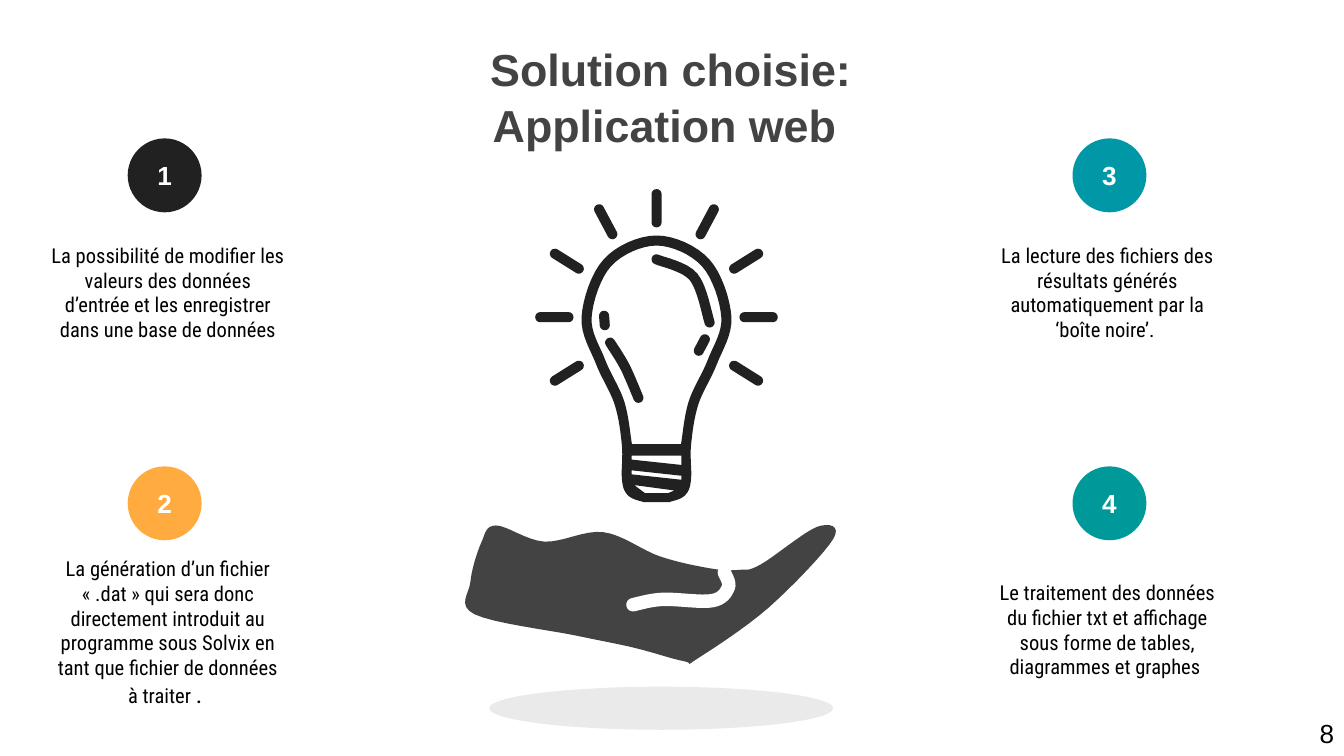
"""Build the slide 'Solution choisie: Application web' on a grid of 0.01 inch cells."""
import math
from dataclasses import dataclass

import lxml.etree
import pptx
import pptx.dml.color
import pptx.enum.shapes
import pptx.enum.text
import pptx.oxml.ns
import pptx.util

Point = tuple[float, float]
COLUMNS, ROWS = 1000, 562.5
CELL = pptx.util.Inches(0.01)
AXIS, MIDLINE = 488.5, 236
STROKE = 3.75
DISC = 55
DARK, GREY, WHITE, BLACK = "212121", "434343", "FFFFFF", "000000"
HEAD_FONT, BODY_FONT = "Arial", "Roboto Condensed"
CENTER = pptx.enum.text.PP_ALIGN.CENTER


@dataclass(frozen=True)
class Column:
    """Left edges of the discs and labels in one column."""
    disc: float
    label: float


@dataclass(frozen=True)
class Step:
    """A numbered disc with its description."""
    color: str
    column: Column
    disc_top: float
    label_top: float
    lines: int
    text: str
    ending: str = ""


LEFT, RIGHT = Column(95, 28), Column(798, 727)
UPPER, LOWER = 103, 347
STEPS = [
    Step(DARK, LEFT, UPPER, 176, 4,
         "La possibilité de modifier les valeurs des données d’entrée et les enregistrer dans une base de données"),
    Step("FFAB40", LEFT, LOWER, 409, 6,
         "La génération d’un fichier « .dat » qui sera donc directement introduit au programme sous Solvix "
         "en tant que fichier de données à traiter ", ". "),
    Step("0097A7", RIGHT, UPPER, 176, 4,
         "La lecture des fichiers des résultats générés automatiquement par la ‘boîte noire’. "),
    Step("009999", RIGHT, LOWER, 427, 4,
         "Le traitement des données du fichier txt et affichage sous forme de tables, diagrammes et graphes "),
]

HAND = [
    (369, 391), (405, 403), (449, 396), (491, 414), (529, 423), (550, 424),
    (566, 420), (608, 392), (620, 401), (572, 452), (519, 490), (509, 492),
    (472, 482), (429, 473), (353, 457), (350, 433), (358, 404),
]
THUMB_GAP = [(471, 450), (493, 446), (530, 447), (542, 437), (539, 426)]
GLASS = [(AXIS, 179), (525, 195.5), (540.5, MIDLINE), (530, 269.5), (516, 300), (510.5, 331)]
FOOT = [(510.5, 356), (507, 366), (497, 370)]
SCREW_GAPS = [
    [(470, 339), (507, 339), (507, 346), (470, 342)],
    [(470, 350), (507, 354), (507, 357), (470, 353)],
    [(472, 361), (502, 365), (497, 367), (480, 367)],
]
GLARES = [
    [(449.5, 235), (450, 242)],
    [(524.5, 252.5), (520, 261)],
    [(454, 255), (465, 273), (475, 296)],
    [(AXIS, 193), (516, 206), (528, 240)],
]


def rgb(color: str) -> pptx.dml.color.RGBColor:
    """Turn a hex string into a colour."""
    return pptx.dml.color.RGBColor.from_string(color)


def grid(*cells: float) -> list[int]:
    """Turn grid cells into slide lengths."""
    return [round(cell * CELL) for cell in cells]


def polar(center: Point, radius: float, angle: float) -> Point:
    """Give the point at a radius and angle from a centre."""
    return center[0] + radius * math.cos(angle), center[1] + radius * math.sin(angle)


def symmetric(half: list[Point]) -> list[Point]:
    """Join a right half, from the axis down, to its reflection."""
    return [(2 * AXIS - x, y) for x, y in reversed(half[1:])] + half


def smooth(knots: list[Point], closed: bool = False, steps: int = 8) -> list[Point]:
    """Run a Catmull-Rom curve through the knots."""
    ring = knots[-1:] + knots + knots[:2] if closed else knots[:1] + knots + knots[-1:]
    points = [knots[0]]
    for a, b, c, d in zip(ring, ring[1:], ring[2:], ring[3:]):
        for step in range(1, steps + 1):
            t = step / steps
            points.append(tuple(
                q + t / 2 * (r - p + t * (2 * p - 5 * q + 4 * r - s + t * (3 * (q - r) + s - p)))
                for p, q, r, s in zip(a, b, c, d)))
    return points


def directions(points: list[Point]) -> list[float]:
    """Give the heading of a line at each of its points."""
    pairs = zip(points[:1] + points[:-1], points[1:] + points[-1:])
    return [math.atan2(b[1] - a[1], b[0] - a[0]) for a, b in pairs]


def offset(points: list[Point], distance: float) -> list[Point]:
    """Shift a line sideways."""
    return [polar(p, distance, angle - math.pi / 2) for p, angle in zip(points, directions(points))]


def tube(points: list[Point], radius: float = STROKE) -> list[Point]:
    """Outline a thick stroke with round ends around a centre line."""
    outline = []
    for line in (points, points[::-1]):
        heading = directions(line)[-1]
        outline += offset(line, radius)
        outline += [polar(line[-1], radius, heading + k * math.pi / 8) for k in range(-3, 4)]
    return outline


def ray(degrees: float) -> list[Point]:
    """Give the centre line of a light ray around the bulb."""
    angle = math.radians(degrees)
    inner = 65.5 + 5 * abs(math.sin(angle))
    return [polar((AXIS, MIDLINE), radius, -angle) for radius in (inner, inner + 21)]


def paint(sp, color: str) -> None:
    """Fill a shape and clear its line and shadow."""
    sp.fill.solid()
    sp.fill.fore_color.rgb = rgb(color)
    sp.line.fill.background()
    sp.shadow.inherit = False


def draw_outline(shapes, contours: list[list[Point]], color: str) -> None:
    """Draw closed contours as one filled freeform."""
    builder = shapes.build_freeform(*grid(*contours[0][0]), scale=1.0)
    for i, contour in enumerate(contours):
        if i:
            builder.move_to(*grid(*contour[0]))
        builder.add_line_segments([tuple(grid(*point)) for point in contour[1:]], close=True)
    paint(builder.convert_to_shape(), color)


def draw_ellipse(shapes, left: float, top: float, width: float, height: float, color: str):
    """Draw a filled ellipse."""
    sp = shapes.add_shape(pptx.enum.shapes.MSO_SHAPE.OVAL, *grid(left, top, width, height))
    paint(sp, color)
    return sp


def format_run(r, font: str, size: float, color: str, bold: bool = False) -> None:
    """Set the font of a run."""
    r.font.name, r.font.size, r.font.bold = font, pptx.util.Pt(size), bold
    r.font.color.rgb = rgb(color)


def draw_step(shapes, number: int, step: Step) -> None:
    """Draw a numbered disc and its description."""
    tf = draw_ellipse(shapes, step.column.disc, step.disc_top, DISC, DISC, step.color).text_frame
    tf.text, tf.vertical_anchor = str(number), pptx.enum.text.MSO_ANCHOR.MIDDLE
    tf.paragraphs[0].alignment = CENTER
    format_run(tf.paragraphs[0].runs[0], HEAD_FONT, 14, WHITE, True)
    box = grid(step.column.label, step.label_top, 194, 10 + 18.5 * step.lines)
    tf = shapes.add_textbox(*box).text_frame
    tf.word_wrap, tf.text = True, step.text
    p = tf.paragraphs[0]
    p.alignment = CENTER
    format_run(p.runs[0], BODY_FONT, 11, BLACK)
    if step.ending:
        r = p.add_run()
        r.text = step.ending
        format_run(r, BODY_FONT, 13, BLACK)


def draw_title(sp) -> None:
    """Place and format the title placeholder."""
    sp.left, sp.top, sp.width, sp.height = grid(214, 20, 570, 103)
    tf = sp.text_frame
    tf.text = "Solution choisie:\vApplication web "
    tf.auto_size = pptx.enum.text.MSO_AUTO_SIZE.NONE
    tf.vertical_anchor = pptx.enum.text.MSO_ANCHOR.BOTTOM
    tf.margin_left = tf.margin_right = tf.margin_top = tf.margin_bottom = 10 * CELL
    p = tf.paragraphs[0]
    p.alignment, p.line_spacing = CENTER, 1.05
    for r in p.runs:
        format_run(r, HEAD_FONT, 24, GREY, True)


def main() -> None:
    """Build and save the slide."""
    prs = pptx.Presentation()
    prs.slide_width, prs.slide_height = grid(COLUMNS, ROWS)
    s = prs.slides.add_slide(prs.slide_layouts[0])
    subtitle = s.placeholders[1].element
    subtitle.getparent().remove(subtitle)
    draw_title(s.shapes.title)
    draw_outline(s.shapes, [smooth(HAND, closed=True)], GREY)
    draw_outline(s.shapes, [tube(smooth(THUMB_GAP), 5)], WHITE)
    outer = offset(smooth(symmetric(GLASS + FOOT)), STROKE)
    inner = offset(smooth(symmetric(GLASS)), -STROKE)
    draw_outline(s.shapes, [outer, inner] + SCREW_GAPS, DARK)
    rays = [ray(90)] + [ray(side) for angle in (62, 32, 0, -32) for side in (angle, 180 - angle)]
    for line in rays + [smooth(glare) for glare in GLARES]:
        draw_outline(s.shapes, [tube(line)], DARK)
    shade = draw_ellipse(s.shapes, 364, 511, 256, 32, "373737")
    tint = shade.element.spPr.find(".//" + pptx.oxml.ns.qn("a:srgbClr"))
    lxml.etree.SubElement(tint, pptx.oxml.ns.qn("a:alpha"), val="10000")
    for number, step in enumerate(STEPS, 1):
        draw_step(s.shapes, number, step)
    tf = s.shapes.add_textbox(*grid(972, 529, 28, 34)).text_frame
    tf.text = "8"
    format_run(tf.paragraphs[0].runs[0], HEAD_FONT, 14, BLACK)
    prs.save("out.pptx")


if __name__ == "__main__":
    main()
